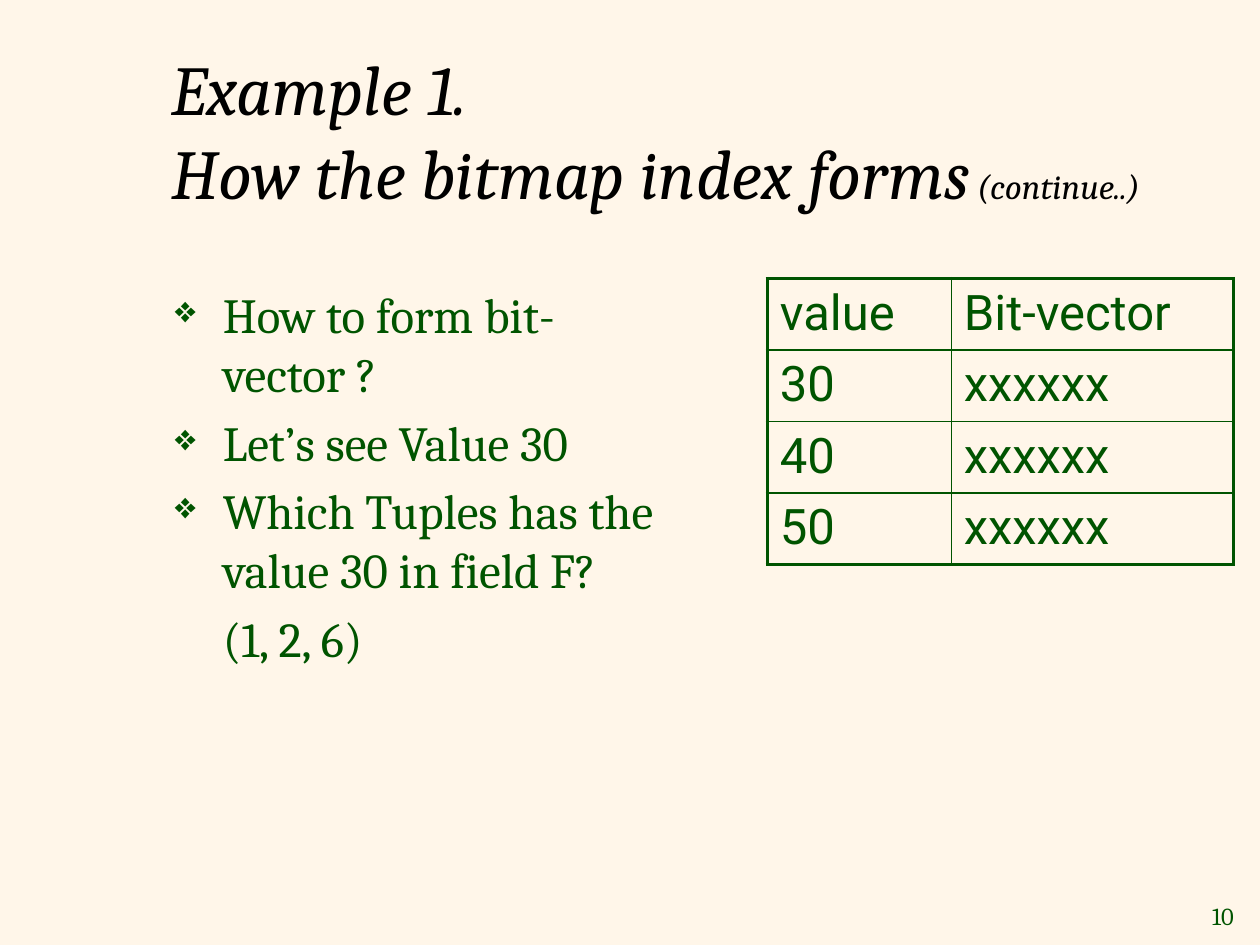
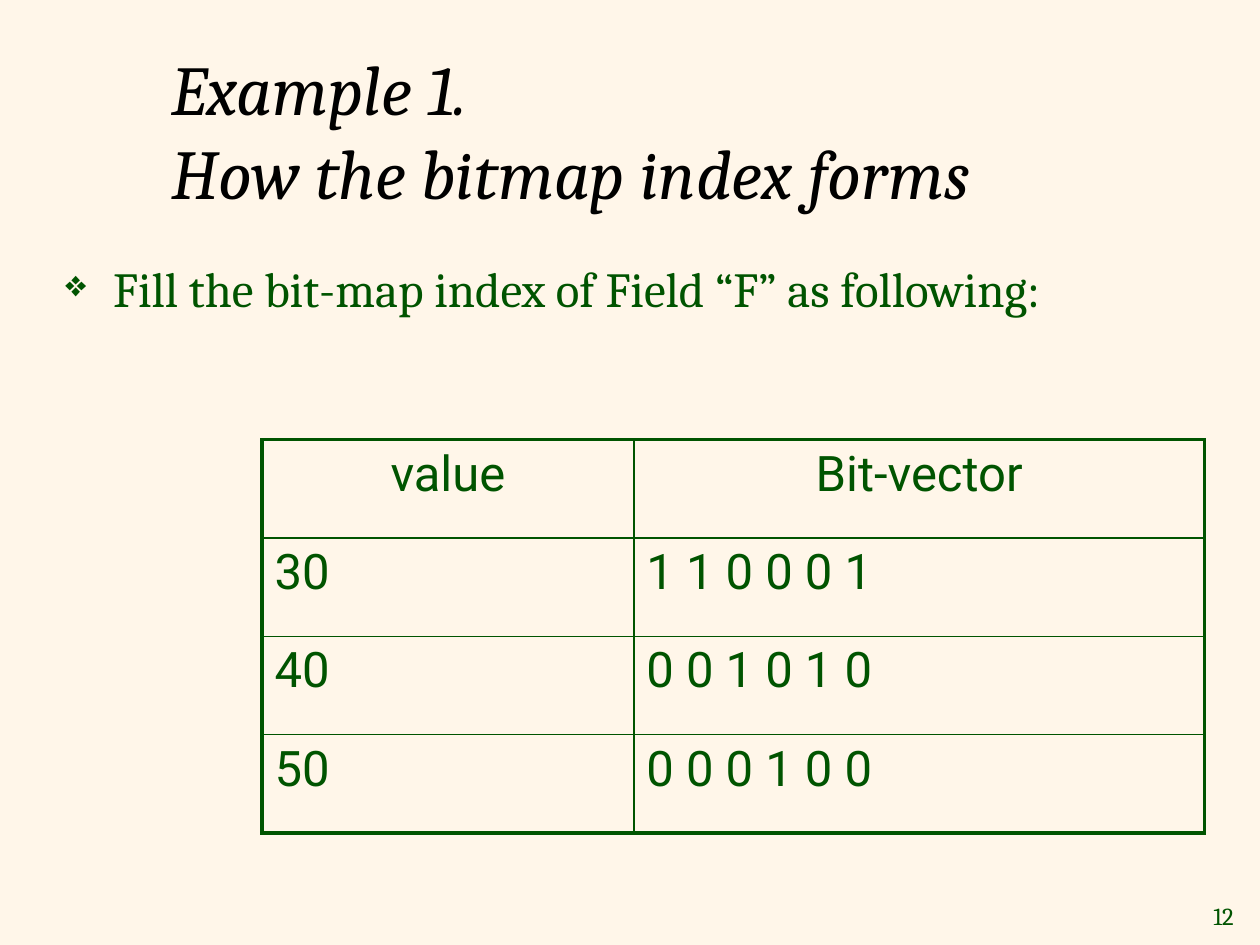
from lxml import etree
from pptx import Presentation
from pptx import util as u
from pptx.dml.color import RGBColor
from pptx.enum import text
from pptx.oxml import ns

COLORS = {"paper": "FFF6E9", "green": "005400", "title": "000000"}
SERIF, SANS = "Cambria", "Roboto"
BODY_SIZE = 28
BODY_GAP = u.Pt(BODY_SIZE * 0.2)
TITLE_BOX = (1.26, 0.23, 8.52, 1.6)
NUMBER_BOX = (9.45, 7.1, 0.44, 0.33)
BULLET_INDENT = u.Inches(0.38)
THICK, THIN = u.Pt(2.25), u.Pt(1)


def rgb(name):
    return RGBColor.from_string(COLORS[name])


def set_font(font, name, size, color, italic=False):
    font.name, font.size, font.italic = name, u.Pt(size), italic
    font.color.rgb = rgb(color)


def add_text_frame(s, box, anchor):
    tf = s.shapes.add_textbox(*map(u.Inches, box)).text_frame
    tf.word_wrap = True
    tf.vertical_anchor = anchor
    return tf


def sub(parent, tag, **attrs):
    return etree.SubElement(parent, ns.qn(tag), **attrs)


def add_bullet(p):
    pPr = p._p.get_or_add_pPr()
    sub(sub(pPr, "a:buClr"), "a:srgbClr", val=COLORS["green"])
    sub(pPr, "a:buSzPct", val="75000")
    sub(pPr, "a:buChar", char="❖")


def add_title(s, note=""):
    tf = add_text_frame(s, TITLE_BOX, text.MSO_ANCHOR.MIDDLE)
    p = tf.paragraphs[0]
    runs = [("Example 1.", 40), ("How the bitmap index forms", 40)]
    if note:
        runs.append((" " + note, 20))
    for i, (words, size) in enumerate(runs):
        if i == 1:
            p.add_line_break()
        r = p.add_run()
        r.text = words
        set_font(r.font, SERIF, size, "title", italic=True)


def add_number(s, number):
    tf = add_text_frame(s, NUMBER_BOX, text.MSO_ANCHOR.MIDDLE)
    p = tf.paragraphs[0]
    p.text = str(number)
    p.alignment = text.PP_ALIGN.RIGHT
    set_font(p.font, SERIF, 14, "green")


def add_body(s, box, bullets, answer=None):
    tf = add_text_frame(s, box, text.MSO_ANCHOR.TOP)
    lines = bullets + ([answer] if answer else [])
    for i, line in enumerate(lines):
        p = tf.add_paragraph() if i else tf.paragraphs[0]
        p.text = line
        pPr = p._p.get_or_add_pPr()
        pPr.set("marL", str(BULLET_INDENT))
        if i:
            p.space_before = BODY_GAP
        if line in bullets:
            pPr.set("indent", str(-BULLET_INDENT))
            add_bullet(p)
        else:
            pPr.set("indent", "0")
            sub(pPr, "a:buNone")
        set_font(p.font, SERIF, BODY_SIZE, "green")


def set_borders(cell, outer_sides):
    tcPr = cell._tc.get_or_add_tcPr()
    for side in "LRTB":
        width = THICK if side in outer_sides else THIN
        ln = sub(tcPr, "a:ln" + side, w=str(width))
        sub(sub(ln, "a:solidFill"), "a:srgbClr", val=COLORS["green"])


def add_index_table(s, left, top, widths, row_height, vectors, header_align):
    rows = [("value", "Bit-vector"), *zip(("30", "40", "50"), vectors)]
    size = (sum(widths), row_height * len(rows))
    frame = s.shapes.add_table(len(rows), len(widths),
                               *map(u.Inches, (left, top, *size)))
    table = frame.table
    table.first_row = table.horz_banding = False
    for column, width in zip(table.columns, widths):
        column.width = u.Inches(width)
    for i, values in enumerate(rows):
        table.rows[i].height = u.Inches(row_height)
        for j, value in enumerate(values):
            cell = table.cell(i, j)
            outer = "LR"[j] + ("T" if i == 0 else "")
            outer += "B" if i == len(rows) - 1 else ""
            set_borders(cell, outer)
            cell.fill.background()
            p = cell.text_frame.paragraphs[0]
            p.text = value
            p.alignment = header_align if i == 0 else text.PP_ALIGN.LEFT
            set_font(p.font, SANS, BODY_SIZE, "green")


def add_slide(prs, number, note=""):
    s = prs.slides.add_slide(prs.slide_layouts[6])
    s.background.fill.solid()
    s.background.fill.fore_color.rgb = rgb("paper")
    add_number(s, number)
    add_title(s, note)
    return s


def build_question_slide(prs):
    s = add_slide(prs, 10, "(continue..)")
    add_body(s, (1.29, 2.21, 4.17, 3.03),
             ["How to form bit-vector ?", "Let’s see Value 30",
              "Which Tuples has the value 30 in field F?"], "(1, 2, 6)")
    add_index_table(s, 6.09, 2.21, (1.46, 2.24), 0.55, ["xxxxxx"] * 3,
                    text.PP_ALIGN.LEFT)


def build_result_slide(prs):
    s = add_slide(prs, 12)
    add_body(s, (0.42, 2, 9.08, 1.42),
             ["Fill the bit-map index of Field “F” as following:"])
    add_index_table(s, 2.08, 3.49, (2.95, 4.53), 0.78,
                    ["1 1 0 0 0 1", "0 0 1 0 1 0", "0 0 0 1 0 0"],
                    text.PP_ALIGN.CENTER)


def main():
    prs = Presentation()
    prs.slide_width, prs.slide_height = u.Inches(10), u.Inches(7.5)
    build_question_slide(prs)
    build_result_slide(prs)
    prs.save("out.pptx")


if __name__ == "__main__":
    main()
